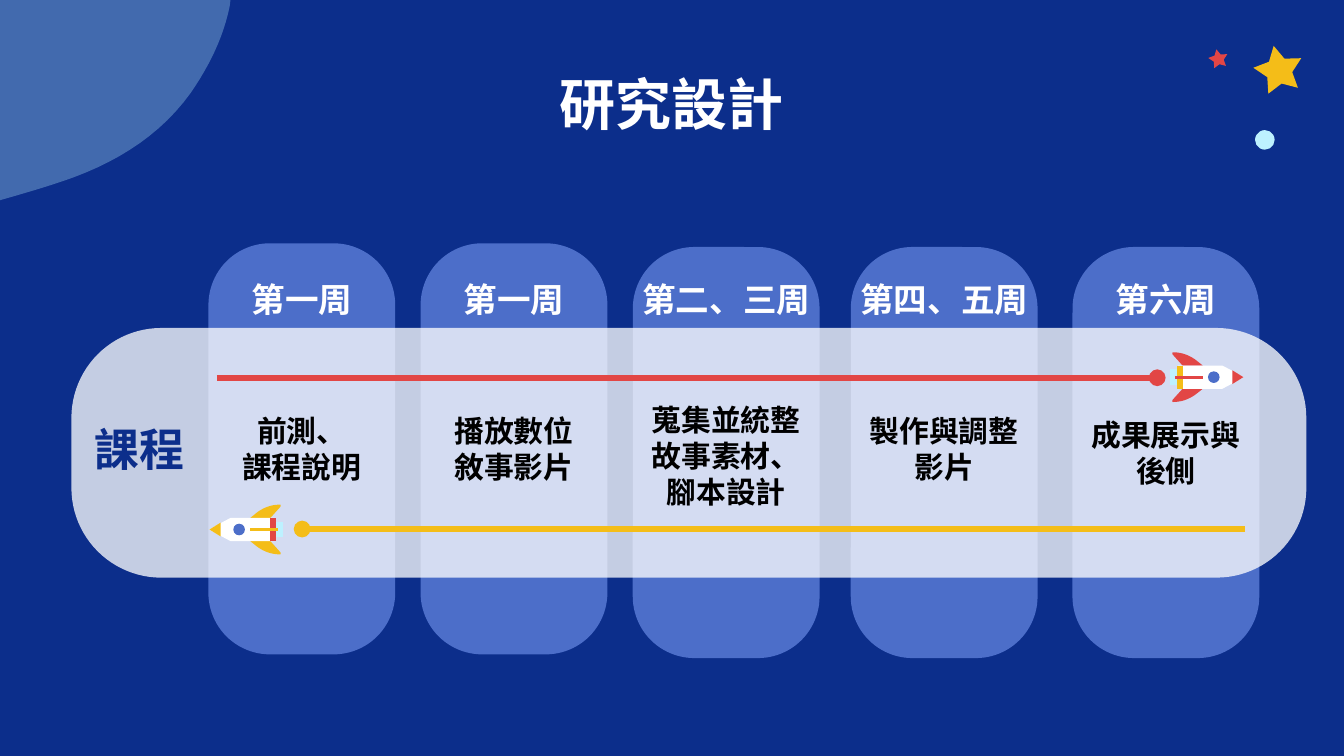
from dataclasses import dataclass

from lxml import etree
from pptx import Presentation, util as u
from pptx.dml.color import RGBColor
from pptx.enum import shapes as es, text as et
from pptx.oxml import ns

NAVY = RGBColor(0x0C, 0x2E, 0x8B)
BLUE = RGBColor(0x4C, 0x6E, 0xC9)
SKY = RGBColor(0xBD, 0xF1, 0xFF)
GOLD = RGBColor(0xF4, 0xBD, 0x18)
RED = RGBColor(0xE2, 0x46, 0x45)
WHITE = RGBColor(0xFF, 0xFF, 0xFF)
BLACK = RGBColor(0, 0, 0)
FONT = "Noto Sans CJK SC"
KIND = es.MSO_SHAPE
WIDE = 3.53


@dataclass
class Week:
    left: float
    top: float
    name: str
    note: str
    low: float
    tall: float = 1.63


@dataclass
class Mark:
    kind: KIND
    box: tuple
    color: RGBColor
    turn: float = 0


@dataclass
class Track:
    start: float
    end: float
    y: float
    color: RGBColor


@dataclass
class Rocket:
    x: float
    y: float
    sign: int
    main: RGBColor
    band: RGBColor


WEEKS = [
    Week(3.94, 4.6, "第一周", "前測、\n課程說明", 7.67),
    Week(7.95, 4.6, "第一周", "播放數位\n敘事影片", 7.67),
    Week(11.96, 4.67, "第二、三周", "蒐集並統整故事素材、\n腳本設計", 7.47, 2.31),
    Week(16.08, 4.67, "第四、五周", "製作與調整影片", 7.67),
    Week(20.27, 4.67, "第六周", "成果展示與後側", 7.75),
]
MARKS = [
    Mark(KIND.STAR_5_POINT, (23.67, 0.89, 0.91, 0.88), GOLD, 276.4),
    Mark(KIND.STAR_5_POINT, (22.83, 0.94, 0.36, 0.35), RED, 276.4),
    Mark(KIND.OVAL, (23.72, 2.46, 0.37, 0.37), SKY),
]
TRACKS = [Track(4.1, 21.87, 7.14, RED), Track(23.53, 5.71, 10.0, GOLD)]
ROCKETS = [Rocket(22.81, 7.13, 1, RED, GOLD), Rocket(4.65, 10.01, -1, GOLD, RED)]

# Outlines in cm: a pair is a corner, six numbers are a Bezier curve.
BLOB = [(4.39, -1.02), (4.42, -0.64, 4.39, -0.25, 4.34, 0.13),
        (4.22, 0.71, 3.96, 1.24, 3.61, 1.75), (3.07, 2.51, 2.29, 3.02, 1.4, 3.35),
        (0.69, 3.61, -0.03, 3.78, -0.74, 4.01), (-0.74, -1.02)]
FIN = [(-0.08, -0.22), (-0.18, -0.3), (-0.3, -0.4, -0.46, -0.47, -0.64, -0.47),
       (-0.66, -0.47, -0.66, -0.44, -0.64, -0.42), (-0.46, -0.22)]
HULL = [(0.69, 0), (0.48, -0.12), (0.33, -0.2), (0.29, -0.22), (-0.54, -0.22),
        (-0.56, -0.2), (-0.56, 0.2), (-0.54, 0.22), (0.29, 0.22), (0.33, 0.2),
        (0.48, 0.12)]
NOSE = [(0.69, 0), (0.48, -0.13), (0.48, 0.13)]


def rect(left: float, right: float, half: float) -> list:
    return [(left, -half), (right, -half), (right, half), (left, half)]


def trace(path: list, steps: int = 12) -> list:
    """Turn corners and curves into a list of points."""
    pts = []
    for seg in path:
        if len(seg) == 2:
            pts.append(seg)
            continue
        ctrl = [pts[-1], seg[:2], seg[2:4], seg[4:]]
        for i in range(1, steps + 1):
            t = i / steps
            mix = ((1 - t) ** 3, 3 * t * (1 - t) ** 2, 3 * t * t * (1 - t), t ** 3)
            pts.append(tuple(sum(m * p[k] for m, p in zip(mix, ctrl)) for k in (0, 1)))
    return pts


def paint(shape, color: RGBColor, alpha: int = 100) -> None:
    shape.shadow.inherit = False
    shape.line.fill.background()
    shape.fill.solid()
    shape.fill.fore_color.rgb = color
    if alpha < 100:
        tone = shape.fill._xPr.find(".//" + ns.qn("a:srgbClr"))
        etree.SubElement(tone, ns.qn("a:alpha"), val=str(alpha * 1000))


def add_form(tree, path: list, color: RGBColor, alpha: int = 100) -> None:
    pts = [(u.Cm(x), u.Cm(y)) for x, y in trace(path)]
    form = tree.build_freeform(*pts[0])
    form.add_line_segments(pts[1:], close=True)
    paint(form.convert_to_shape(), color, alpha)


def add_shape(tree, kind: KIND, box: tuple, color: RGBColor, alpha: int = 100):
    shape = tree.add_shape(kind, *map(u.Cm, box))
    paint(shape, color, alpha)
    return shape


def set_text(shape, words: str, size: int, color: RGBColor, pad: float = 0.25,
             anchor=et.MSO_ANCHOR.MIDDLE) -> None:
    frame = shape.text_frame
    frame.text = words
    form = {"word_wrap": True, "vertical_anchor": anchor,
            "margin_left": u.Cm(0.25), "margin_right": u.Cm(0.25),
            "margin_top": u.Cm(pad), "margin_bottom": u.Cm(pad)}
    for key, val in form.items():
        setattr(frame, key, val)
    for para in frame.paragraphs:
        para.alignment = et.PP_ALIGN.CENTER
        for run in para.runs:
            for key, val in {"name": FONT, "size": u.Pt(size), "bold": True}.items():
                setattr(run.font, key, val)
            run.font.color.rgb = color
            etree.SubElement(run._r.get_or_add_rPr(), ns.qn("a:ea"), typeface=FONT)


def add_text(tree, box: tuple, *args, **form) -> None:
    set_text(tree.add_textbox(*map(u.Cm, box)), *args, **form)


def add_track(tree, track: Track) -> None:
    ends = (track.start, track.y, track.end, track.y)
    line = tree.add_connector(es.MSO_CONNECTOR.STRAIGHT, *map(u.Cm, ends))
    line.line.color.rgb = track.color
    line.line.width = u.Pt(3)
    etree.SubElement(line.line._get_or_add_ln(), ns.qn("a:tailEnd"), type="oval")
    etree.SubElement(line._element.spPr, ns.qn("a:effectLst"))


def add_rocket(tree, ship: Rocket) -> None:
    group = tree.add_group_shape().shapes
    flip = [(x, -y) for x, y in trace(FIN)]
    parts = [(FIN, ship.main), (flip, ship.main), (HULL, WHITE),
             (rect(-0.69, -0.56, 0.15), SKY), (rect(-0.56, -0.46, 0.22), ship.band),
             (NOSE, ship.main), (rect(-0.6, -0.08, 0.03), ship.main)]
    for path, color in parts:
        spot = [(ship.x + ship.sign * x, ship.y + ship.sign * y) for x, y in trace(path)]
        add_form(group, spot, color)
    rad = 0.11
    eye = (ship.x + ship.sign * 0.13 - rad, ship.y - rad, 2 * rad, 2 * rad)
    add_shape(group, KIND.OVAL, eye, BLUE)


def main() -> None:
    deck = Presentation()
    deck.slide_width, deck.slide_height = u.Cm(25.4), u.Cm(14.29)
    slide = deck.slides.add_slide(deck.slide_layouts[5])
    slide.background.fill.solid()
    slide.background.fill.fore_color.rgb = NAVY
    tree = slide.shapes

    title = tree.title
    place = {"left": 3.35, "top": 1.04, "width": 18.69, "height": 1.8}
    for key, val in place.items():
        setattr(title, key, u.Cm(val))
    set_text(title, "研究設計", 30, WHITE)

    add_form(tree, BLOB, SKY, 31)
    for mark in MARKS:
        shape = add_shape(tree, mark.kind, mark.box, mark.color)
        shape.rotation = mark.turn
        if mark.kind == KIND.STAR_5_POINT:
            shape.adjustments[0] = 0.26
    for week in WEEKS:
        box = (week.left, week.top, WIDE, 7.77)
        add_shape(tree, KIND.ROUNDED_RECTANGLE, box, BLUE).adjustments[0] = 0.33
    panel = add_shape(tree, KIND.ROUNDED_RECTANGLE, (1.35, 6.2, 23.34, 4.72), WHITE, 76)
    panel.adjustments[0] = 0.36
    add_text(tree, (1.32, 7.95, 2.62, 1.07), "課程", 24, NAVY)

    for track in TRACKS:
        add_track(tree, track)
    for ship in ROCKETS:
        add_rocket(tree, ship)
    for week in WEEKS:
        more = 0.1 if len(week.name) > 3 else 0
        head = (week.left - more, 5.11, WIDE + 2 * more, 1.07)
        add_text(tree, head, week.name, 18, WHITE)
        add_text(tree, (week.left, week.low, WIDE, week.tall), week.note, 16, BLACK,
                 pad=0.13, anchor=et.MSO_ANCHOR.TOP)
    deck.save("out.pptx")


if __name__ == "__main__":
    main()
